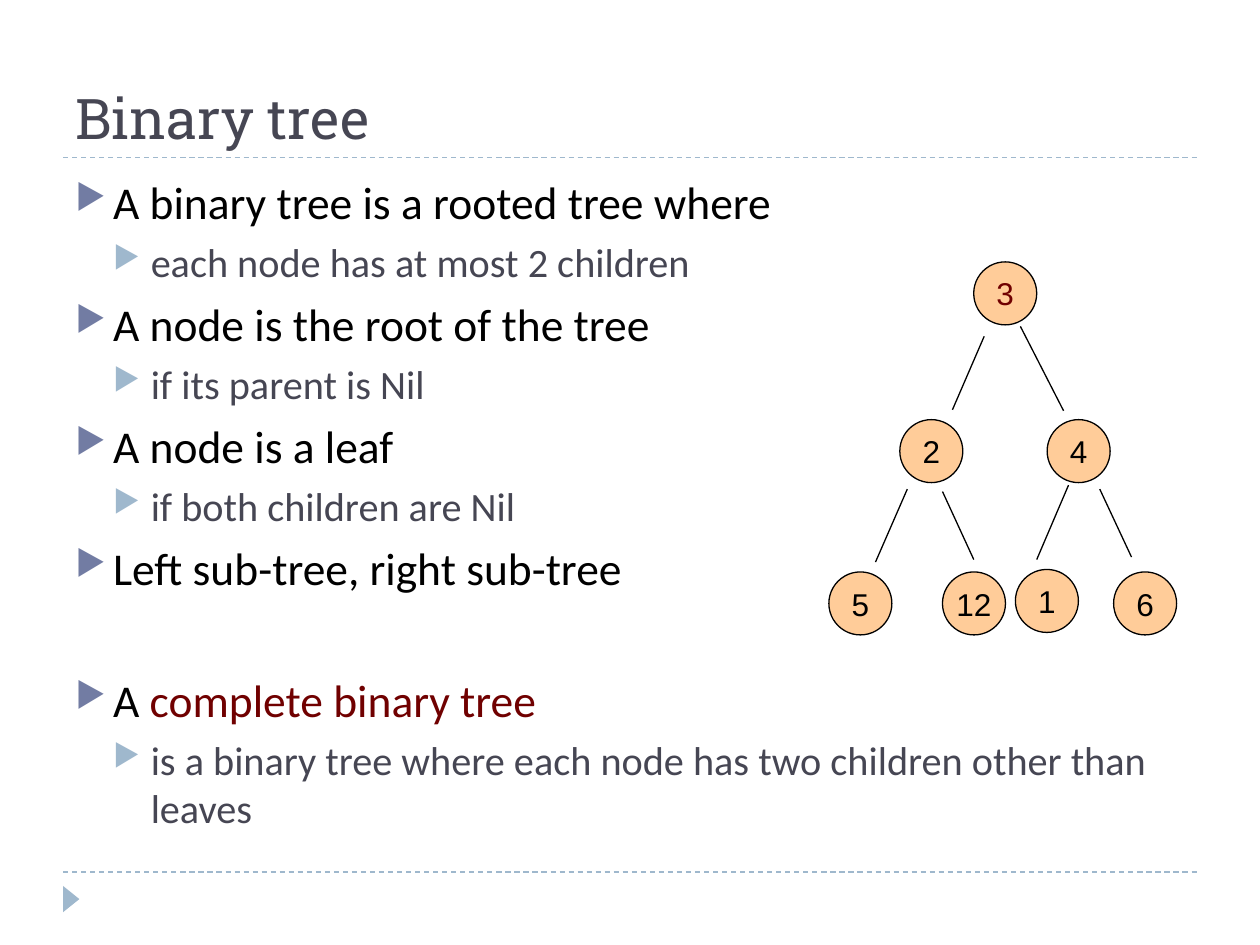
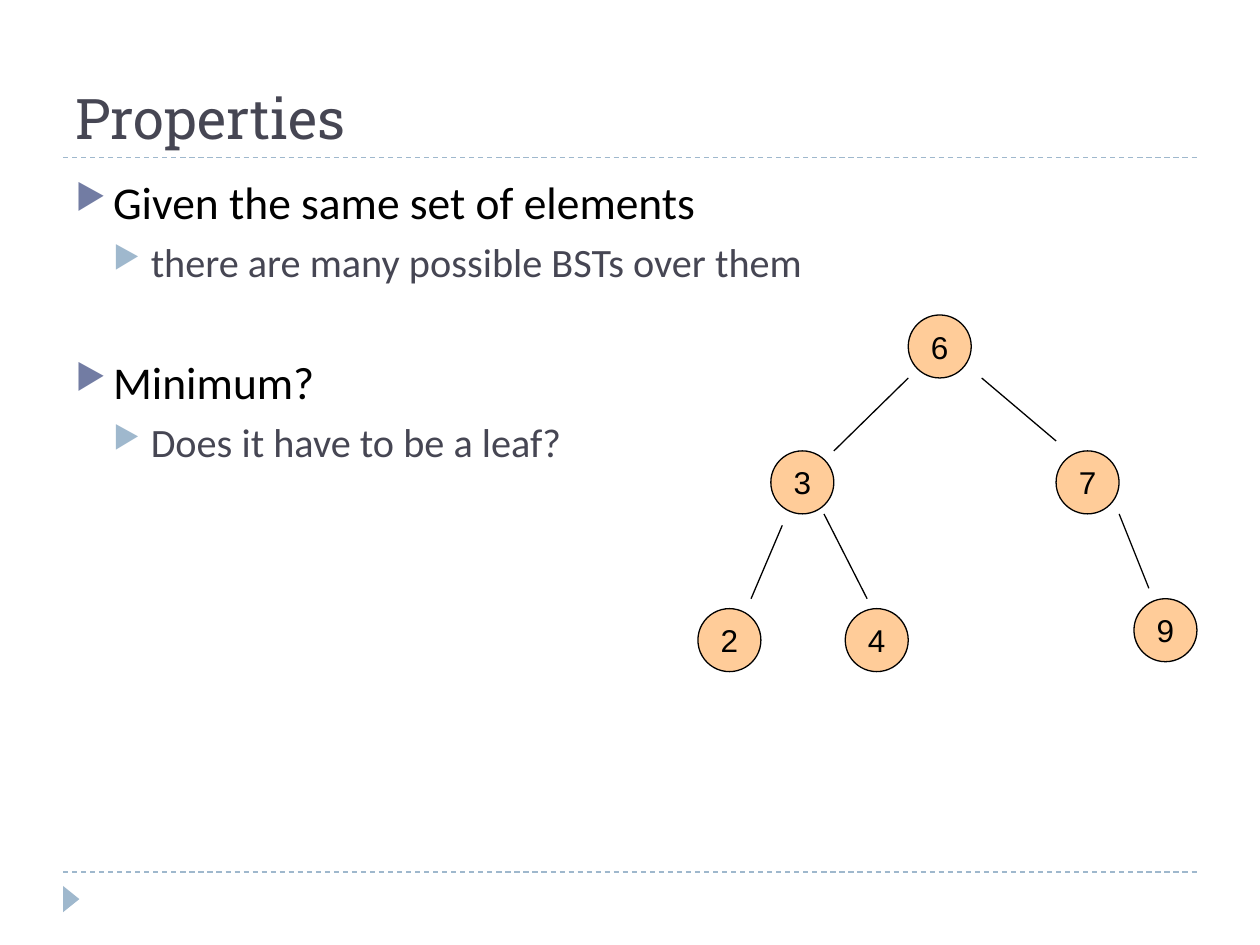
"""Build two slides on binary trees: definitions and properties."""
from dataclasses import dataclass

import pptx
import pptx.dml.color
import pptx.enum.dml
import pptx.enum.shapes
import pptx.enum.text
import pptx.oxml.ns
import pptx.presentation
import pptx.shapes.autoshape
import pptx.slide
import pptx.text.text
import pptx.util
from lxml import etree
from pptx.util import Cm, Pt

COLOURS = {
    "title": "464653",
    "text": "000000",
    "detail": "464653",
    "accent": "700000",
    "point_bullet": "727CA3",
    "detail_bullet": "9FB8CD",
    "rule": "9FB8CD",
    "node": "FFCC99",
    "outline": "000000",
}
TITLE_FONT, BODY_FONT, NODE_FONT = "Roboto Slab", "Calibri", "Arial"
MARGIN, CONTENT_WIDTH = 1.27, 22.86
RULE_HEIGHTS = (17.58, 3.18)
NODE_SIZE = 1.27
INDENT = 0.76


@dataclass(frozen=True)
class Level:
    """Look of one outline level."""
    size: float
    space_before: float
    colour: str
    bullet: str


LEVELS = (
    Level(26, 6, "text", "point_bullet"),
    Level(23, 5, "detail", "detail_bullet"),
)


@dataclass(frozen=True)
class Point:
    """One outline line, with an optional highlighted ending and extra gap in points."""
    text: str
    level: int = 0
    highlight: str = ""
    gap: float = 0


@dataclass(frozen=True)
class Node:
    """A tree node, placed by its left and top in centimetres."""
    label: str
    left: float
    top: float
    colour: str = "text"


@dataclass(frozen=True)
class Edge:
    """A line from a parent node towards a child, in centimetres."""
    x1: float
    y1: float
    x2: float
    y2: float


@dataclass(frozen=True)
class Topic:
    """Content of one slide."""
    title: str
    points: tuple[Point, ...]
    nodes: tuple[Node, ...]
    edges: tuple[Edge, ...]


TOPICS = (
    Topic(
        "Binary tree",
        (
            Point("A binary tree is a rooted tree where"),
            Point("each node has at most 2 children", 1),
            Point("A node is the root of the tree"),
            Point("if its parent is Nil", 1),
            Point("A node is a leaf"),
            Point("if both children are Nil", 1),
            Point("Left sub-tree, right sub-tree"),
            Point("A ", highlight="complete binary tree", gap=38),
            Point("is a binary tree where each node has two children other than leaves", 1),
        ),
        (
            Node("3", 19.63, 5.28, "accent"),
            Node("2", 18.14, 8.46),
            Node("4", 21.11, 8.46),
            Node("5", 16.71, 11.53),
            Node("12", 19, 11.53),
            Node("1", 20.47, 11.48),
            Node("6", 22.45, 11.53),
        ),
        (
            Edge(19.84, 6.78, 19.2, 8.26),
            Edge(20.57, 6.58, 21.44, 8.28),
            Edge(18.29, 9.86, 17.65, 11.33),
            Edge(19, 9.91, 19.63, 11.28),
            Edge(21.54, 9.78, 20.9, 11.28),
            Edge(22.17, 9.86, 22.81, 11.23),
        ),
    ),
    Topic(
        "Properties",
        (
            Point("Given the same set of elements"),
            Point("there are many possible BSTs over them", 1),
            Point("Minimum?", gap=33),
            Point("Does it have to be a leaf?", 1),
        ),
        (
            Node("6", 18.31, 6.35),
            Node("3", 15.54, 9.09),
            Node("7", 21.29, 9.09),
            Node("2", 14.07, 12.27),
            Node("4", 17.04, 12.27),
            Node("9", 22.86, 12.07),
        ),
        (
            Edge(18.31, 7.62, 16.81, 9.09),
            Edge(19.79, 7.62, 21.29, 8.89),
            Edge(15.77, 10.59, 15.14, 12.07),
            Edge(16.61, 10.36, 17.48, 12.07),
            Edge(22.56, 10.36, 23.16, 11.86),
        ),
    ),
)


def rgb(name: str) -> pptx.dml.color.RGBColor:
    """Look up a named colour."""
    return pptx.dml.color.RGBColor.from_string(COLOURS[name])


def style_font(paragraph: pptx.text.text._Paragraph, face: str, size: float, colour: str) -> None:
    """Set the font of a whole paragraph."""
    paragraph.font.name = face
    paragraph.font.size = Pt(size)
    paragraph.font.color.rgb = rgb(colour)


def add_line(slide: pptx.slide.Slide, edge: Edge, colour: str, dashed: bool = False) -> None:
    """Draw a thin straight line without a shadow."""
    line = slide.shapes.add_connector(
        pptx.enum.shapes.MSO_CONNECTOR.STRAIGHT,
        Cm(edge.x1), Cm(edge.y1), Cm(edge.x2), Cm(edge.y2))
    line.line.color.rgb = rgb(colour)
    line.line.width = Pt(0.75)
    if dashed:
        line.line.dash_style = pptx.enum.dml.MSO_LINE.DASH
    etree.SubElement(line._element.spPr, pptx.oxml.ns.qn("a:effectLst"))


def add_solid(slide: pptx.slide.Slide, kind: pptx.enum.shapes.MSO_SHAPE, left: float, top: float,
              width: float, height: float, colour: str) -> pptx.shapes.autoshape.Shape:
    """Draw a filled preset shape with no outline or shadow."""
    solid = slide.shapes.add_shape(kind, Cm(left), Cm(top), Cm(width), Cm(height))
    solid.shadow.inherit = False
    solid.fill.solid()
    solid.fill.fore_color.rgb = rgb(colour)
    solid.line.fill.background()
    return solid


def add_text_frame(slide: pptx.slide.Slide, top: float, height: float) -> pptx.text.text.TextFrame:
    """Add a wrapping text box across the content width."""
    frame = slide.shapes.add_textbox(
        Cm(MARGIN), Cm(top), Cm(CONTENT_WIDTH), Cm(height)).text_frame
    frame.word_wrap = True
    return frame


def add_frame(slide: pptx.slide.Slide, title: str) -> None:
    """Draw the rules, corner marker and title shared by all slides."""
    for height in RULE_HEIGHTS:
        add_line(slide, Edge(MARGIN, height, MARGIN + CONTENT_WIDTH, height), "rule", dashed=True)
    marker = add_solid(slide, pptx.enum.shapes.MSO_SHAPE.ISOSCELES_TRIANGLE,
                       1.17, 17.96, 0.53, 0.33, "rule")
    marker.rotation = 90
    heading = add_text_frame(slide, 0.43, 2.74)
    heading.vertical_anchor = pptx.enum.text.MSO_ANCHOR.BOTTOM
    heading.text = title
    style_font(heading.paragraphs[0], TITLE_FONT, 32, "title")


def add_bullet(paragraph: pptx.text.text._Paragraph, level: int) -> None:
    """Give a paragraph its hanging indent and triangle bullet."""
    qn = pptx.oxml.ns.qn
    properties = paragraph._p.get_or_add_pPr()
    properties.set("marL", str(Cm(INDENT * (level + 1))))
    properties.set("indent", str(-Cm(INDENT)))
    tint = etree.SubElement(properties, qn("a:buClr"))
    etree.SubElement(tint, qn("a:srgbClr"), val=COLOURS[LEVELS[level].bullet])
    etree.SubElement(properties, qn("a:buSzPct"), val="76000")
    etree.SubElement(properties, qn("a:buChar"), char="▶")


def add_outline(slide: pptx.slide.Slide, points: tuple[Point, ...]) -> None:
    """Write the two-level outline."""
    outline = add_text_frame(slide, 3.38, 13.72)
    for index, point in enumerate(points):
        paragraph = outline.add_paragraph() if index else outline.paragraphs[0]
        level = LEVELS[point.level]
        paragraph.level = point.level
        paragraph.space_before = Pt(level.space_before + point.gap)
        add_bullet(paragraph, point.level)
        style_font(paragraph, BODY_FONT, level.size, level.colour)
        paragraph.add_run().text = point.text
        if point.highlight:
            highlight = paragraph.add_run()
            highlight.text = point.highlight
            highlight.font.color.rgb = rgb("accent")


def add_node(slide: pptx.slide.Slide, node: Node) -> None:
    """Draw a labelled tree node."""
    circle = add_solid(slide, pptx.enum.shapes.MSO_SHAPE.OVAL,
                       node.left, node.top, NODE_SIZE, NODE_SIZE, "node")
    circle.line.color.rgb = rgb("outline")
    circle.line.width = Pt(0.75)
    frame = circle.text_frame
    frame.word_wrap = False
    frame.vertical_anchor = pptx.enum.text.MSO_ANCHOR.MIDDLE
    frame.text = node.label
    label = frame.paragraphs[0]
    label.alignment = pptx.enum.text.PP_ALIGN.CENTER
    style_font(label, NODE_FONT, 18, node.colour)


def add_topic(deck: pptx.presentation.Presentation, topic: Topic) -> None:
    """Add one slide with its outline and tree."""
    slide = deck.slides.add_slide(deck.slide_layouts[6])
    add_frame(slide, topic.title)
    add_outline(slide, topic.points)
    for edge in topic.edges:
        add_line(slide, edge, "outline")
    for node in topic.nodes:
        add_node(slide, node)


def main() -> None:
    """Build and save the deck."""
    deck = pptx.Presentation()
    deck.slide_width, deck.slide_height = Cm(25.4), Cm(19.05)
    for topic in TOPICS:
        add_topic(deck, topic)
    deck.save("out.pptx")


if __name__ == "__main__":
    main()
